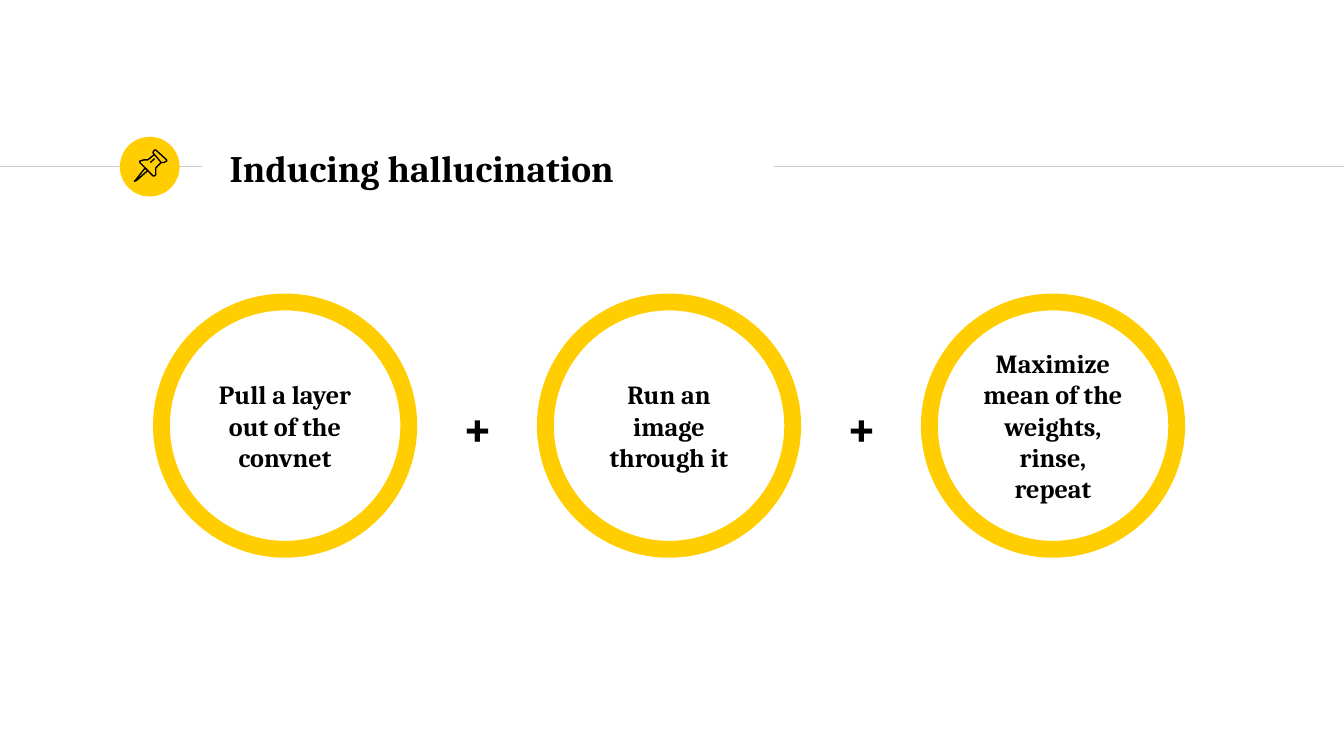
from dataclasses import dataclass

from lxml.etree import SubElement
from pptx import Presentation
from pptx.dml.color import RGBColor
from pptx.enum.shapes import MSO_CONNECTOR, MSO_SHAPE
from pptx.enum.text import MSO_ANCHOR, MSO_AUTO_SIZE, PP_ALIGN
from pptx.oxml.ns import qn
from pptx.shapes.base import BaseShape
from pptx.slide import Slide
from pptx.text.text import TextFrame
from pptx.util import Pt


@dataclass(frozen=True)
class Theme:
    yellow: RGBColor = RGBColor(0xFF, 0xCD, 0x00)
    rule: RGBColor = RGBColor(0xCC, 0xCC, 0xCC)
    ink: RGBColor = RGBColor(0, 0, 0)
    font: str = "Cambria"
    title_size: float = 20
    step_size: float = 14
    plus_size: float = 28
    thin: float = 0.75
    ring: float = 9
    inset: float = 7.2


@dataclass(frozen=True)
class Box:
    left: float
    top: float
    width: float
    height: float

    def lengths(self) -> tuple[Pt, Pt, Pt, Pt]:
        return Pt(self.left), Pt(self.top), Pt(self.width), Pt(self.height)


@dataclass(frozen=True)
class Stroke:
    points: tuple[tuple[float, float], ...]
    closed: bool


THEME = Theme()
SLIDE_WIDTH, SLIDE_HEIGHT = 720, 405
RULE_Y = 89.3
RULES = ((0, 108), (414.7, SLIDE_WIDTH))
BADGE = Box(64.2, 73.3, 32, 32)
TITLE = Box(115.9, 72.7, 250, 34.6)
STEPS = (
    "Pull a layer out of the convnet",
    "Run an image through it",
    "Maximize mean of the weights, rinse, repeat",
)
STEP_LEFT, STEP_TOP, STEP_DIAMETER, STEP_PITCH = 86.5, 161.8, 132.5, 205.7
PLUS_WIDTH, PLUS_HEIGHT, PLUS_TOP = 29.5, 41.2, 207.4
PIN = (
    Stroke(((77.8, 90), (72.7, 96.5), (72, 97.2), (73.4, 96.5), (79.2, 91.4)), True),
    Stroke(((82.8, 82.8), (86.4, 87.1), (87.8, 87.1), (89.3, 86.4), (89.3, 85.7),
            (83.5, 80.4), (82.8, 80.4), (82.1, 81.4), (82.1, 82.1)), True),
    Stroke(((82.8, 82.8), (79.2, 85.7), (77, 85.7), (74.9, 86.4), (74.9, 87.1),
            (82.1, 94.3), (82.8, 94.3), (83.5, 93.6), (83.5, 90), (86.4, 87.1)), False),
    Stroke(((80.6, 87.1), (82.8, 85)), False),
)


def outline(shape: BaseShape, color: RGBColor, width: float) -> None:
    shape.shadow.inherit = False
    shape.fill.background()
    shape.line.color.rgb = color
    shape.line.width = Pt(width)


def write(frame: TextFrame, text: str, size: float, inset: float,
          align: PP_ALIGN = PP_ALIGN.LEFT) -> None:
    frame.word_wrap = True
    frame.vertical_anchor = MSO_ANCHOR.MIDDLE
    frame.margin_left = frame.margin_right = Pt(THEME.inset)
    frame.margin_top = frame.margin_bottom = Pt(inset)
    paragraph = frame.paragraphs[0]
    paragraph.text = text
    paragraph.alignment = align
    paragraph.font.name = THEME.font
    paragraph.font.size = Pt(size)
    paragraph.font.bold = True
    paragraph.font.color.rgb = THEME.ink


def draw_rule(slide: Slide, start: float, end: float) -> None:
    rule = slide.shapes.add_connector(
        MSO_CONNECTOR.STRAIGHT, Pt(start), Pt(RULE_Y), Pt(end), Pt(RULE_Y))
    rule.line.color.rgb = THEME.rule
    rule.line.width = Pt(THEME.thin)
    SubElement(rule._element.spPr, qn("a:effectLst"))


def draw_badge(slide: Slide) -> None:
    badge = slide.shapes.add_shape(MSO_SHAPE.OVAL, *BADGE.lengths())
    badge.shadow.inherit = False
    badge.fill.solid()
    badge.fill.fore_color.rgb = THEME.yellow
    badge.line.fill.background()


def draw_stroke(slide: Slide, stroke: Stroke) -> None:
    start, *rest = [(Pt(x), Pt(y)) for x, y in stroke.points]
    builder = slide.shapes.build_freeform(*start)
    builder.add_line_segments(rest, close=stroke.closed)
    outline(builder.convert_to_shape(), THEME.ink, THEME.thin)


def draw_step(slide: Slide, index: int, text: str) -> None:
    box = Box(STEP_LEFT + index * STEP_PITCH, STEP_TOP, STEP_DIAMETER, STEP_DIAMETER)
    step = slide.shapes.add_shape(MSO_SHAPE.OVAL, *box.lengths())
    outline(step, THEME.yellow, THEME.ring)
    write(step.text_frame, text, THEME.step_size, THEME.inset, PP_ALIGN.CENTER)


def draw_plus(slide: Slide, index: int) -> None:
    center = STEP_LEFT + STEP_DIAMETER / 2 + (index + 0.5) * STEP_PITCH
    box = Box(center - PLUS_WIDTH / 2, PLUS_TOP, PLUS_WIDTH, PLUS_HEIGHT)
    frame = slide.shapes.add_textbox(*box.lengths()).text_frame
    write(frame, "+", THEME.plus_size, THEME.inset / 2)
    frame.vertical_anchor = MSO_ANCHOR.TOP
    frame.word_wrap = False
    frame.auto_size = MSO_AUTO_SIZE.SHAPE_TO_FIT_TEXT


def main() -> None:
    presentation = Presentation()
    presentation.slide_width = Pt(SLIDE_WIDTH)
    presentation.slide_height = Pt(SLIDE_HEIGHT)
    slide = presentation.slides.add_slide(presentation.slide_layouts[6])
    for start, end in RULES:
        draw_rule(slide, start, end)
    draw_badge(slide)
    title = slide.shapes.add_textbox(*TITLE.lengths())
    write(title.text_frame, "Inducing hallucination", THEME.title_size, THEME.inset)
    for stroke in PIN:
        draw_stroke(slide, stroke)
    for index, text in enumerate(STEPS):
        draw_step(slide, index, text)
    for index in range(len(STEPS) - 1):
        draw_plus(slide, index)
    presentation.save("out.pptx")


if __name__ == "__main__":
    main()
